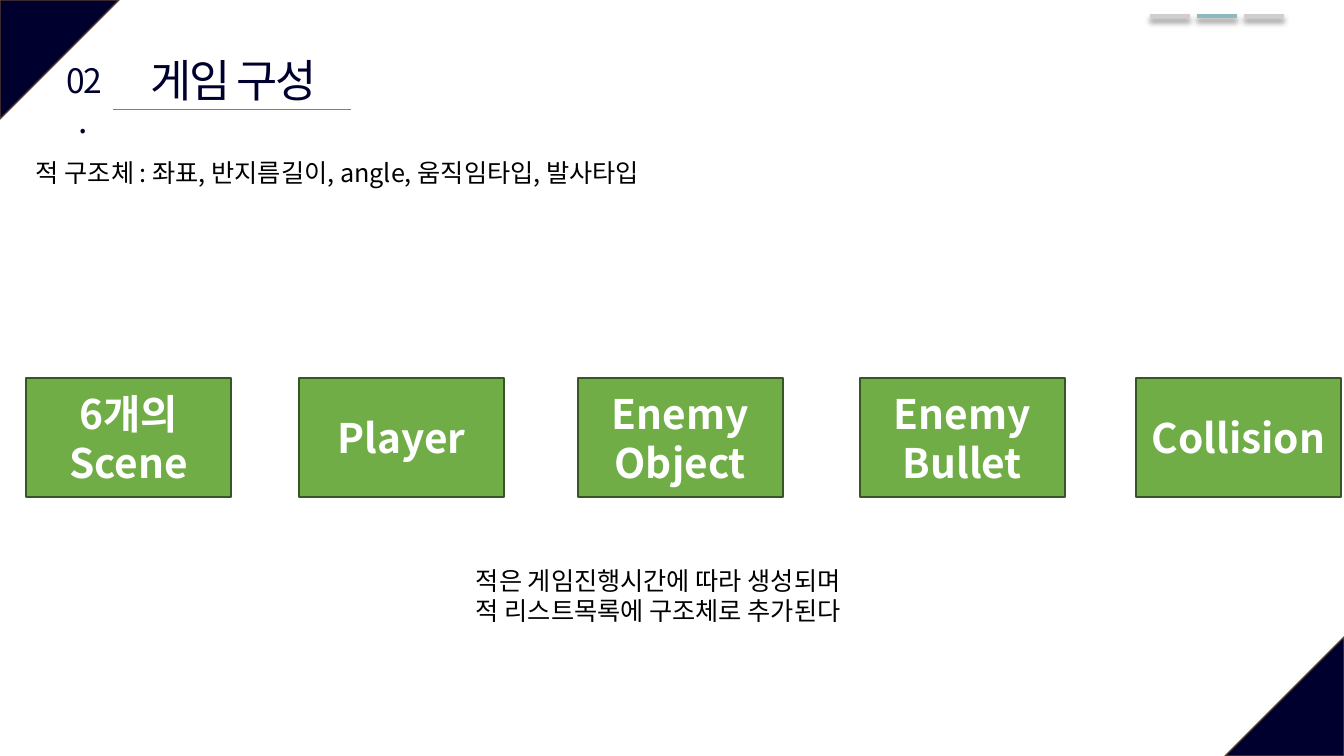
from typing import NamedTuple

from lxml.etree import SubElement
from pptx import Presentation
from pptx.dml.color import RGBColor
from pptx.enum.shapes import MSO_CONNECTOR as Connector, MSO_SHAPE as Shape
from pptx.enum.text import MSO_ANCHOR as Anchor, PP_ALIGN as Align
from pptx.oxml.ns import qn
from pptx.util import Pt

PIXEL = 914400 / 100.8
WIDTH, HEIGHT = 1344, 756
FONT = "Noto Sans CJK KR"
NAVY, GREEN, DARK_GREEN, BROWN = "00002F", "70AD47", "385623", "5B3F33"
SILVER, TEAL, GRAY, BLACK, WHITE = "D0CECE", "8DBABD", "808080", "000000", "FFFFFF"


class Box(NamedTuple):
    left: int
    top: int
    width: int
    height: int


class Style(NamedTuple):
    size: int
    color: str
    align: Align = Align.LEFT
    bold: bool = False
    spacing: int = 0


class Corner(NamedTuple):
    left: int
    top: int
    rotation: int


class Card(NamedTuple):
    left: int
    lines: list[str]


class Rule(NamedTuple):
    left: int
    right: int
    y: int
    color: str
    weight: float
    shadow: bool = False


def emu(pixels: int) -> int:
    return round(pixels * PIXEL)


def rgb(color: str) -> RGBColor:
    return RGBColor.from_string(color)


def place(box: Box) -> list[int]:
    return [emu(length) for length in box]


def write(frame, lines: list[str], style: Style, anchor: Anchor = Anchor.TOP) -> None:
    frame.word_wrap = True
    frame.vertical_anchor = anchor
    frame.text = "\n".join(lines)
    for paragraph in frame.paragraphs:
        paragraph.alignment = style.align
        font = paragraph.font
        font.name, font.size, font.bold = FONT, Pt(style.size), style.bold
        font.color.rgb = rgb(style.color)
        for run in paragraph.runs:
            properties = run._r.get_or_add_rPr()
            SubElement(properties, qn("a:ea"), typeface=FONT)
            if style.spacing:
                properties.set("spc", str(style.spacing))


def add_text(box: Box, lines: list[str], style: Style) -> None:
    write(slide.shapes.add_textbox(*place(box)).text_frame, lines, style)


def add_filled(kind: Shape, box: Box, fill: str, outline: str):
    shape = slide.shapes.add_shape(kind, *place(box))
    shape.shadow.inherit = False
    shape.fill.solid()
    shape.fill.fore_color.rgb = rgb(fill)
    shape.line.color.rgb = rgb(outline)
    shape.line.width = Pt(1)
    return shape


def add_rule(rule: Rule) -> None:
    y = emu(rule.y)
    line = slide.shapes.add_connector(
        Connector.STRAIGHT, emu(rule.left), y, emu(rule.right), y)
    line.line.color.rgb = rgb(rule.color)
    line.line.width = Pt(rule.weight)
    effects = SubElement(line._element.spPr, qn("a:effectLst"))
    if rule.shadow:
        shadow = SubElement(effects, qn("a:outerShdw"), blurRad=str(Pt(4)),
                            dist=str(Pt(3)), dir="5400000", rotWithShape="0")
        shade = SubElement(shadow, qn("a:srgbClr"), val=BLACK)
        SubElement(shade, qn("a:alpha"), val="40000")


deck = Presentation()
deck.slide_width, deck.slide_height = emu(WIDTH), emu(HEIGHT)
slide = deck.slides.add_slide(deck.slide_layouts[5])

CORNER_SIDE = 119
corners = [Corner(0, 0, 90), Corner(WIDTH - CORNER_SIDE, HEIGHT - CORNER_SIDE, 270)]
for corner in corners:
    box = Box(corner.left, corner.top, CORNER_SIDE, CORNER_SIDE)
    add_filled(Shape.RIGHT_TRIANGLE, box, NAVY, BROWN).rotation = corner.rotation

PROGRESS_LEFT, PROGRESS_STEP, PROGRESS_LENGTH = 1150, 47, 40
for step, color in enumerate([SILVER, TEAL, SILVER]):
    left = PROGRESS_LEFT + step * PROGRESS_STEP
    add_rule(Rule(left, left + PROGRESS_LENGTH, 16, color, 3.5, shadow=True))

heading = slide.shapes.title
heading.left, heading.top, heading.width, heading.height = place(Box(135, 48, 197, 62))
write(heading.text_frame, ["게임 구성"], Style(32, NAVY, Align.CENTER, spacing=-150))
add_text(Box(53, 55, 61, 49), ["02."], Style(24, NAVY, Align.CENTER, spacing=-150))
add_rule(Rule(113, 351, 109, GRAY, 0.5))

cards = [
    Card(26, ["6개의 Scene"]),
    Card(299, ["Player"]),
    Card(578, ["Enemy", "Object"]),
    Card(860, ["Enemy", "Bullet"]),
    Card(1136, ["Collision"]),
]
card_style = Style(29, WHITE, Align.CENTER, bold=True)
for card in cards:
    tile = add_filled(Shape.RECTANGLE, Box(card.left, 378, 205, 119), GREEN, DARK_GREEN)
    write(tile.text_frame, card.lines, card_style, Anchor.MIDDLE)

body_style = Style(18, BLACK)
add_text(Box(466, 560, 429, 72),
         ["적은 게임진행시간에 따라 생성되며", "적 리스트목록에 구조체로 추가된다"], body_style)
add_text(Box(26, 152, 683, 40),
         ["적 구조체 : 좌표, 반지름길이, angle, 움직임타입, 발사타입"], body_style)

deck.save("out.pptx")
